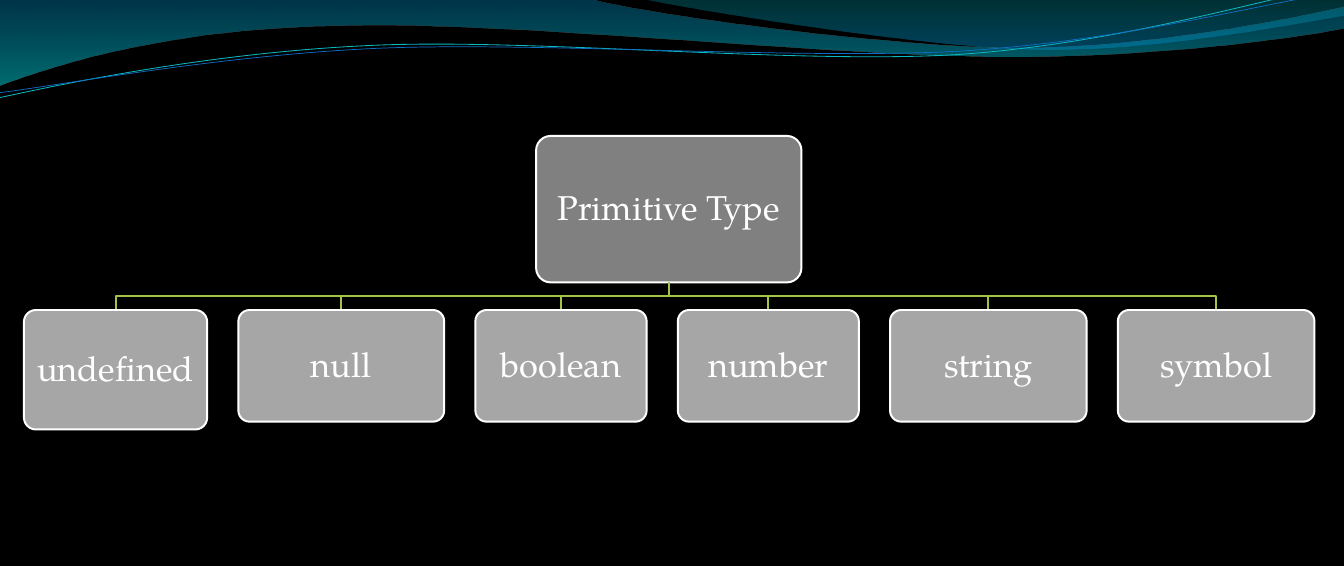
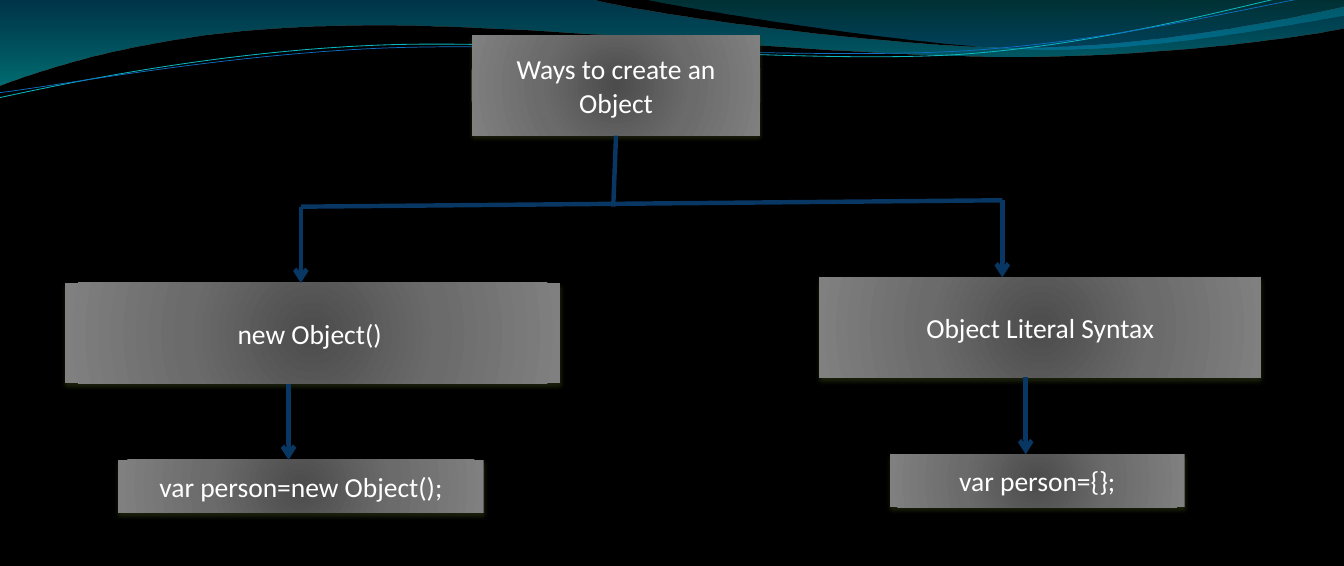
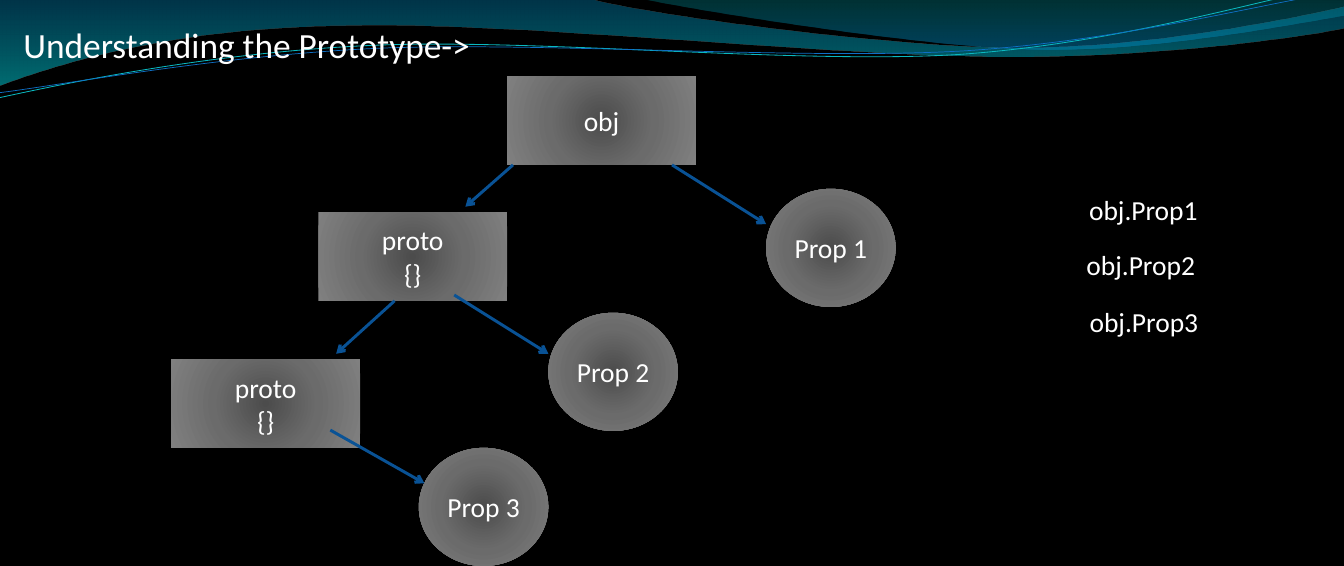
import dataclasses

import lxml.etree
import pptx
import pptx.dml.color
import pptx.enum.shapes
import pptx.enum.text
import pptx.oxml.ns
import pptx.util

SHAPE = pptx.enum.shapes.MSO_SHAPE
ALIGN = pptx.enum.text.PP_ALIGN
ANCHOR = pptx.enum.text.MSO_ANCHOR
qn = pptx.oxml.ns.qn


@dataclasses.dataclass(frozen=True)
class Theme:
    background: str = "000000"
    text: str = "FFFFFF"
    font: str = "Calibri"
    tree_font: str = "TeX Gyre Pagella"
    title_size: int = 36
    tree_size: int = 35
    box_size: int = 28
    root_fill: str = "808080"
    leaf_fill: str = "A6A6A6"
    tree_line: str = "A5C249"
    dark_arrow: str = "083763"
    arrow: str = "095295"
    shadow: str = "3A4519"
    # Gradient stops: position %, colour, opacity %
    box_stops: tuple = ((0, "4C4C4C", 100), (50, "6B6B6B", 100), (100, "808080", 100))
    wave_stops: tuple = ((0, "0074A1", 45), (100, "00C6CF", 55))
    crest_stops: tuple = ((0, "00A1A9", 30), (80, "008BBF", 45))
    wave_lines: tuple = (("0AB8BF", 0.85), ("0F6FC6", 0.75))


# Header waves in cm: a step of one point is a line, of three a Bezier curve
WAVE = [[(0, 0)], [(21.26, -0.03)],
        [(22.96, 0.46), (32.03, 1.7), (36.6, 1.7)],
        [(41.17, 1.7), (46.25, 0.69), (48.26, 0.23)], [(48.31, 0.99)],
        [(47.45, 1.19), (41.99, 2.06), (35.99, 2.03)],
        [(30.02, 2.03), (18.42, 0.76), (12.42, 0.91)],
        [(6.22, 0.97), (2.21, 2.24), (-0.05, 3.07)]]
CREST = [[(23.11, -0.03)],
         [(24.59, 0.3), (32.92, 1.68), (37.11, 1.78)],
         [(41.3, 1.88), (46.41, 0.86), (48.26, 0.56)], [(48.26, 0)]]
STRANDS = [
    [[(-0.03, 3.51)], [(2.31, 3), (7.62, 1.88), (13.36, 1.63)],
     [(19.1, 1.37), (28.55, 2.31), (34.37, 1.96)],
     [(40.16, 1.57), (45.31, -0.03), (48.18, -0.56)]],
    [[(-0.03, 3.33)], [(2.26, 3.05), (7.9, 1.98), (13.67, 1.73)],
     [(19.43, 1.5), (28.8, 2.16), (34.57, 1.83)],
     [(40.34, 1.47), (45.44, 0.1), (48.29, -0.33)]],
]


def rgb(value):
    return pptx.dml.color.RGBColor.from_string(value)


def cm(*values):
    return [pptx.util.Cm(v) for v in values]


def sub(parent, tag, **attrs):
    node = lxml.etree.SubElement(parent, qn(tag))
    for name, value in attrs.items():
        node.set(name, str(value))
    return node


def add_color(parent, color, opacity):
    node = sub(parent, "a:srgbClr", val=color)
    if opacity < 100:
        sub(node, "a:alpha", val=opacity * 1000)


def bend(sp, steps):
    """Join the three segments of each curved step into one Bezier curve."""
    segments = iter(list(sp.element.iter(qn("a:lnTo"))))
    for step in steps[1:]:
        first, *others = [next(segments) for _ in step]
        if others:
            first.tag = qn("a:cubicBezTo")
        for segment in others:
            first.append(segment[0])
            segment.getparent().remove(segment)


def write_text(tf, text, size, color, font, align=ALIGN.CENTER, anchor=ANCHOR.MIDDLE,
               margins=(0.25, 0.13, 0.25, 0.13), spacing=None):
    tf.word_wrap = True
    tf.auto_size = pptx.enum.text.MSO_AUTO_SIZE.NONE
    tf.vertical_anchor = anchor
    tf.margin_left, tf.margin_top, tf.margin_right, tf.margin_bottom = cm(*margins)
    for i, line in enumerate(text.split("\n")):
        p = tf.add_paragraph() if i else tf.paragraphs[0]
        p.alignment = align
        if spacing:
            p.line_spacing = spacing
        r = p.add_run()
        r.text = line
        r.font.size = pptx.util.Pt(size)
        r.font.name = font
        r.font.bold = False
        r.font.color.rgb = rgb(color)


class Deck:
    def __init__(self, theme):
        self.theme = theme
        self.prs = pptx.Presentation()
        self.prs.slide_width, self.prs.slide_height = cm(48.26, 20.32)
        fill = self.prs.slide_master.background.fill
        fill.solid()
        fill.fore_color.rgb = rgb(theme.background)
        self.s = None

    def new_slide(self, layout=6):
        self.s = self.prs.slides.add_slide(self.prs.slide_layouts[layout])

    def title(self, text, *place):
        sp = self.s.shapes.title
        sp.left, sp.top, sp.width, sp.height = cm(*place)
        write_text(sp.text_frame, text, self.theme.title_size, self.theme.text,
                   self.theme.font, align=ALIGN.LEFT, anchor=ANCHOR.TOP,
                   margins=(0, 0.2, 0.08, 0.2))

    def gradient(self, sp, stops, radial=False):
        sp.fill.gradient()
        grad = sp.element.spPr.find(qn("a:gradFill"))
        for child in list(grad):
            grad.remove(child)
        stop_list = sub(grad, "a:gsLst")
        for position, color, opacity in stops:
            add_color(sub(stop_list, "a:gs", pos=position * 1000), color, opacity)
        if radial:
            center = dict.fromkeys("ltrb", 50000)
            sub(sub(grad, "a:path", path="circle"), "a:fillToRect", **center)
        else:
            sub(grad, "a:lin", ang=90 * 60000, scaled=1)

    def outline(self, steps, color=None, width=None, stops=None):
        """Draw an open line, or a closed area when gradient stops are given."""
        points = [cm(*point) for step in steps for point in step]
        builder = self.s.shapes.build_freeform(*points[0])
        builder.add_line_segments(points[1:], close=bool(stops))
        sp = builder.convert_to_shape()
        bend(sp, steps)
        sp.shadow.inherit = False
        if stops:
            self.gradient(sp, stops)
            sp.line.fill.background()
        else:
            sp.fill.background()
            sp.line.color.rgb = rgb(color)
            sp.line.width = pptx.util.Pt(width)
        return sp

    def header_waves(self):
        """Draw the waves and move them to the master, for every slide."""
        waves = [self.outline(WAVE, stops=self.theme.wave_stops),
                 self.outline(CREST, stops=self.theme.crest_stops)]
        for strand, (color, width) in zip(STRANDS, self.theme.wave_lines):
            waves.append(self.outline(strand, color, width))
        for i, sp in enumerate(waves):
            sp.element.nvSpPr.cNvPr.set("id", str(50 + i))
            self.prs.slide_master.shapes.element.insert(2 + i, sp.element)

    def tree_box(self, text, fill, *place):
        sp = self.s.shapes.add_shape(SHAPE.ROUNDED_RECTANGLE, *cm(*place))
        sp.adjustments[0] = 0.1
        sp.shadow.inherit = False
        sp.fill.solid()
        sp.fill.fore_color.rgb = rgb(fill)
        sp.line.color.rgb = rgb(self.theme.text)
        sp.line.width = pptx.util.Pt(2)
        write_text(sp.text_frame, text, self.theme.tree_size, self.theme.text,
                   self.theme.tree_font, margins=(0.2, 0.38, 0.2, 0.34), spacing=0.9)

    def box(self, text, *place, kind=SHAPE.RECTANGLE, shadow=False):
        sp = self.s.shapes.add_shape(kind, *cm(*place))
        sp.shadow.inherit = False
        self.gradient(sp, self.theme.box_stops, radial=True)
        sp.line.fill.background()
        if shadow:
            pt = pptx.util.Pt
            effects = sp.element.spPr.find(qn("a:effectLst"))
            node = sub(effects, "a:outerShdw", blurRad=pt(4.5), dist=pt(3),
                       dir=90 * 60000, rotWithShape=0)
            add_color(node, self.theme.shadow, 48)
        write_text(sp.text_frame, text, self.theme.box_size, self.theme.text,
                   self.theme.font)

    def label(self, text, *place):
        sp = self.s.shapes.add_textbox(*cm(*place))
        write_text(sp.text_frame, text, self.theme.box_size, self.theme.text,
                   self.theme.font)

    def line(self, *ends, color, width, arrow=True):
        straight = pptx.enum.shapes.MSO_CONNECTOR.STRAIGHT
        c = self.s.shapes.add_connector(straight, *cm(*ends))
        c.line.color.rgb = rgb(color)
        c.line.width = pptx.util.Pt(width)
        spPr = c.element.spPr
        if arrow:
            sub(spPr.find(qn("a:ln")), "a:tailEnd", type="arrow")
        sub(spPr, "a:effectLst")


theme = Theme()
deck = Deck(theme)

# Slide 1: tree of primitive types
deck.new_slide()
deck.header_waves()
root_x, root_bottom, bus_y, leaf_top, gap = 24.02, 10.14, 10.64, 11.13, 1.12
deck.tree_box("Primitive Type", theme.root_fill, 19.25, 4.88, 9.53, 5.26)
left = 0.86
for text, width, height in [("undefined", 6.58, 4.29), ("null", 7.39, 4.01),
                            ("boolean", 6.15, 4.01), ("number", 6.5, 4.01),
                            ("string", 7.06, 4.01), ("symbol", 7.06, 4.01)]:
    x = left + width / 2
    elbow = [(root_x, root_bottom), (root_x, bus_y), (x, bus_y), (x, leaf_top)]
    deck.outline([[point] for point in elbow], theme.tree_line, 2)
    deck.tree_box(text, theme.leaf_fill, left, leaf_top, width, height)
    left += width + gap

# Slide 2: ways to create an object
deck.new_slide()
for text, *place in [("Ways to create an Object", 16.94, 1.27, 10.36, 3.6),
                     ("new Object() ", 2.34, 10.16, 17.78, 3.6),
                     ("Object Literal Syntax", 29.41, 9.96, 15.88, 3.6),
                     ("var person=new Object();", 4.24, 16.51, 13.13, 1.9),
                     ("var person={};", 31.95, 16.31, 10.59, 1.9)]:
    deck.box(text, *place, shadow=True)
for *ends, arrow in [(22.12, 4.87, 22.02, 7.42, False),
                     (10.8, 7.42, 35.99, 7.19, False),
                     (10.8, 7.42, 10.8, 10.16, True),
                     (35.99, 7.19, 35.99, 9.96, True),
                     (10.36, 13.77, 10.36, 16.51, True),
                     (36.83, 13.54, 36.83, 16.31, True)]:
    deck.line(*ends, color=theme.dark_arrow, width=4.5, arrow=arrow)

# Slide 3: prototype chain
deck.new_slide(layout=5)
deck.title("Understanding the Prototype->", 0.84, 0.64, 46.15, 19.68)
for text, x, y in [("obj", 18.21, 2.74), ("proto\n{}", 11.43, 7.62),
                   ("proto\n{}", 6.15, 12.9)]:
    deck.box(text, x, y, 6.78, 3.18)
for text, x, y in [("Prop 1", 27.51, 6.78), ("Prop 2", 19.69, 11.23),
                   ("Prop 3", 15.04, 16.08)]:
    deck.box(text, x, y, 4.65, 4.24, kind=SHAPE.OVAL)
for ends in [(24.13, 5.92, 27.51, 8.05), (18.42, 5.92, 16.71, 7.42),
             (14.17, 10.8, 12.07, 12.7), (16.31, 10.59, 19.69, 12.7),
             (11.86, 15.44, 15.24, 17.35)]:
    deck.line(*ends, color=theme.arrow, width=3)
for text, *place in [("obj.Prop1", 38.3, 6.57, 5.51, 1.9),
                     ("obj.Prop2", 38.32, 8.45, 5.28, 2.11),
                     ("obj.Prop3", 37.9, 9.73, 6.35, 3.6)]:
    deck.label(text, *place)

deck.prs.save("out.pptx")
